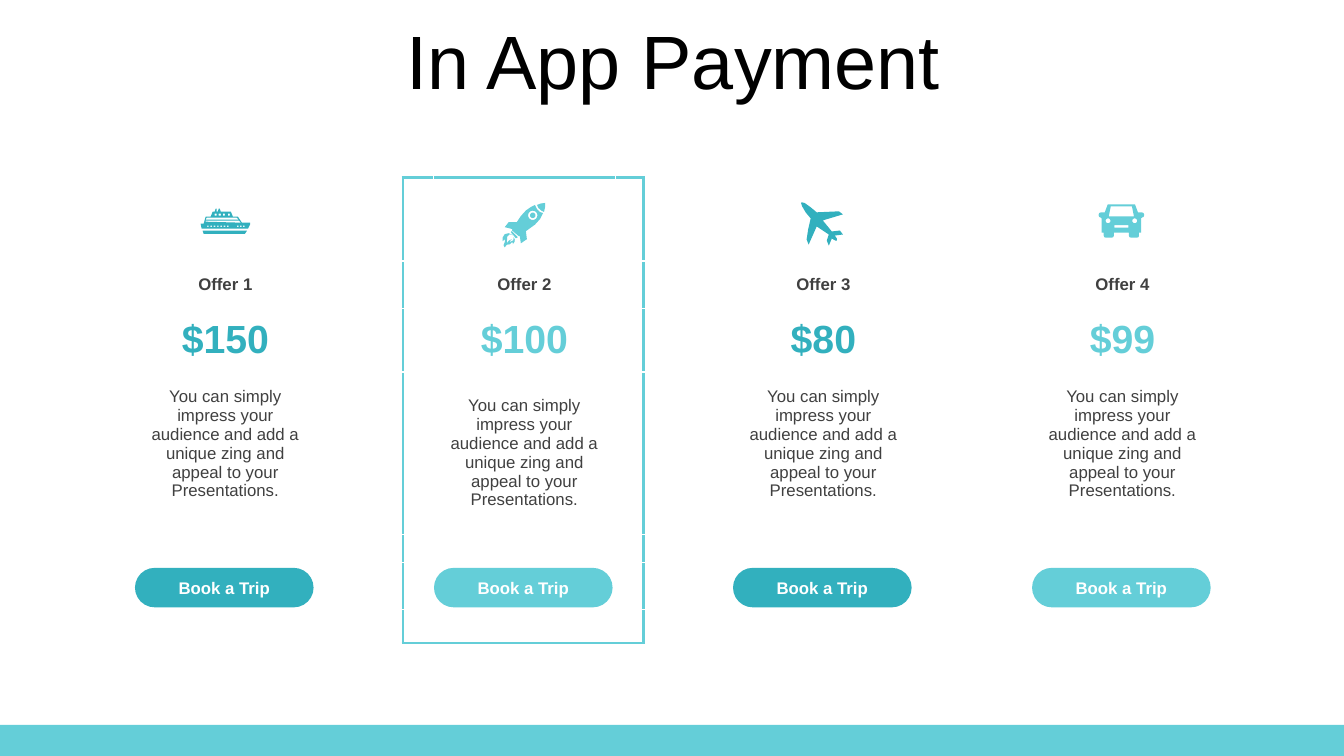
from math import cos, pi, sin

from lxml import etree
from pptx import Presentation
from pptx.dml.color import RGBColor
from pptx.enum.shapes import MSO_SHAPE
from pptx.enum.text import MSO_ANCHOR, MSO_AUTO_SIZE, PP_ALIGN
from pptx.oxml.ns import qn
from pptx.util import Pt

RECT, ROUND_RECT = MSO_SHAPE.RECTANGLE, MSO_SHAPE.ROUNDED_RECTANGLE
MIDDLE, CENTER, NO_FIT = MSO_ANCHOR.MIDDLE, PP_ALIGN.CENTER, MSO_AUTO_SIZE.NONE

AQUA = RGBColor(0x64, 0xCE, 0xD8)
TEAL = RGBColor(0x32, 0xB0, 0xBE)
GRAY = RGBColor(0x40, 0x40, 0x40)
WHITE = RGBColor(0xFF, 0xFF, 0xFF)
BLACK = RGBColor(0x00, 0x00, 0x00)

# Offer grid, in points
FIRST_LEFT, PITCH, TABLE_TOP = 74.2, 213.6, 126.7
COLUMNS = [21.6, 130.3, 20]
ROWS = [59.8, 33.8, 45.4, 115.9, 20.2, 33.8, 23.7]
ICON_UNIT = 0.72


# Icon outlines: lists of contours, in icon units
def box(x, y, w, h):
    return [(x, y), (x + w, y), (x + w, y + h), (x, y + h)]


def disc(x, y, radius, steps=24):
    angles = [2 * pi * i / steps for i in range(steps)]
    return [(x + radius * cos(a), y + radius * sin(a)) for a in angles]


def mirrored(points, width):
    return points + [(width - x, y) for x, y in reversed(points)]


SHIP = [
    [(18, 0), (19, 0), (20, 3), (30, 3), (32, 8), (37, 8), (41, 14), (49, 14),
     (49, 16), (47, 20), (1, 20), (0, 15), (3, 15), (5, 8), (10, 8), (12, 3),
     (14, 3), (15, 0), (16, 0), (16, 3), (17, 3)],
    [(2, 22), (46, 22), (44, 25), (3, 25)],
    [(5, 12), (5, 13), (40, 14), (38, 12)],
    [(6, 9), (5, 11), (38, 11), (36, 9)],
    *[box(x, 5, 2, 2) for x in (14, 18, 22, 27)],
    *[box(x, 17, 1.7, 1.2) for x in (6.4, 9.7, 13, 16.3, 19.6, 22.9, 26.2, 36, 39, 42)],
]
ROCKET = [
    [(11, 32), (8, 31), (5.5, 33.5), (5, 40), (7, 37.5), (10, 36), (8.5, 37.5),
     (8, 39), (10, 37.8), (11.5, 37), (12, 34), (13, 36.5), (12.7, 38.5),
     (11, 41), (11, 39.5), (10, 39), (8, 41), (5, 41.5), (3, 44), (1.8, 42),
     (3.2, 38.5), (3, 36), (1, 38), (0.8, 34.5), (3, 31), (7, 30)],
    [(10, 28), (16, 34), (14, 35), (9, 29)],
    [(33, 2), (35, 6), (38, 9), (41, 10), (38, 16), (33, 21.5), (24, 28),
     (25, 36), (19, 40), (18, 33), (17, 33), (10, 27), (11, 26), (3, 24),
     (7, 19), (15, 19), (19, 13), (24, 7.5), (29, 4)],
    disc(30.8, 12.3, 4.6),
    disc(30.8, 12.3, 2.7),
    [(43, 0), (43, 4), (42, 9), (39, 7.5), (36.5, 5), (35, 2), (39, 0.5)],
]
PLANE = [
    [(42, 32), (34, 33), (36, 36), (36, 38), (34.5, 38), (31, 36), (28, 43),
     (26, 38), (28, 32), (16, 24), (8, 42), (6, 37), (7.5, 27), (10, 16),
     (5, 10), (1.5, 4), (0.5, 1), (1, 0), (4, 0.7), (10, 5), (16, 10),
     (38, 9), (42, 12), (22, 18), (31, 29), (39, 28)],
]
CAR = [
    mirrored([(9, 0), (6, 8), (2, 8), (0.5, 8.6), (0, 10), (0, 11), (0.5, 12.5),
              (2, 13), (3, 14), (3, 28), (5, 28), (5, 31), (5.5, 32.5), (7, 33),
              (13, 33), (14.5, 32.5), (15, 31), (15, 28)], 45),
    mirrored([(12, 2), (10, 12)], 45),
    disc(9.3, 16.3, 2.4),
    disc(35.7, 16.3, 2.4),
    box(15.5, 20.5, 14, 2.5),
]

# Name, price, colour, icon outline, icon left and top
OFFERS = [
    ("Offer 1", "$150", TEAL, SHIP, 143.3, 149),
    ("Offer 2", "$100", AQUA, ROCKET, 358.4, 145),
    ("Offer 3", "$80", TEAL, PLANE, 571.9, 144.5),
    ("Offer 4", "$99", AQUA, CAR, 784.8, 146),
]
DESCRIPTION = ("You can simply impress your audience and add a unique zing "
               "and appeal to your Presentations.")
FRAMED = 1


class Deck:
    """Arial styling and the elements of the current slide."""

    font = "Arial"

    def __init__(self, slide):
        self.slide = slide

    def text(self, tf, text, size, color, bold=False):
        tf.text = text
        tf.word_wrap = True
        p = tf.paragraphs[0]
        p.alignment = CENTER
        for r in p.runs:
            r.font.name, r.font.size, r.font.bold = self.font, Pt(size), bold
            r.font.color.rgb = color
        return p

    def paint(self, sp, color):
        sp.shadow.inherit = False
        sp.fill.solid()
        sp.fill.fore_color.rgb = color
        sp.line.fill.background()

    def title(self, text, left, top, width, height):
        sp = self.slide.shapes.title
        sp.left, sp.top, sp.width, sp.height = Pt(left), Pt(top), Pt(width), Pt(height)
        tf = sp.text_frame
        p = self.text(tf, text, 54, BLACK)
        p.line_spacing, p.space_before = 0.9, Pt(10)
        tf.vertical_anchor, tf.auto_size = MIDDLE, NO_FIT

    def shape(self, kind, left, top, width, height, color):
        sp = self.slide.shapes.add_shape(kind, Pt(left), Pt(top), Pt(width), Pt(height))
        self.paint(sp, color)
        return sp

    def button(self, text, left, top, color):
        sp = self.shape(ROUND_RECT, left, top, 127.6, 28.2, color)
        sp.adjustments[0] = 0.5
        self.text(sp.text_frame, text, 12, WHITE, True)
        sp.text_frame.vertical_anchor = MIDDLE

    def icon(self, contours, left, top, color):
        scaled = [[(Pt(x * ICON_UNIT), Pt(y * ICON_UNIT)) for x, y in c] for c in contours]
        builder = self.slide.shapes.build_freeform(*scaled[0][0])
        builder.add_line_segments(scaled[0][1:], close=True)
        for contour in scaled[1:]:
            builder.move_to(*contour[0])
            builder.add_line_segments(contour[1:], close=True)
        self.paint(builder.convert_to_shape(Pt(left), Pt(top)), color)

    def table(self, left, top):
        frame = self.slide.shapes.add_table(len(ROWS), len(COLUMNS), Pt(left), Pt(top),
                                            Pt(sum(COLUMNS)), Pt(sum(ROWS)))
        table = frame.table
        table.first_row = table.horz_banding = False
        for column, width in zip(table.columns, COLUMNS):
            column.width = Pt(width)
        for row, height in zip(table.rows, ROWS):
            row.height = Pt(height)
        for cell in table.iter_cells():
            cell.fill.background()
            cell.vertical_anchor = MIDDLE
            # Small empty lines keep the spacer rows at their height
            cell.text_frame.paragraphs[0]._p.get_or_add_endParaRPr().set("sz", "800")
        return table

    def frame(self, table, color, width):
        last_row, last_col = len(ROWS) - 1, len(COLUMNS) - 1
        for i in range(len(ROWS)):
            for j in range(len(COLUMNS)):
                edges = [("a:lnL", j == 0), ("a:lnR", j == last_col),
                         ("a:lnT", i == 0), ("a:lnB", i == last_row)]
                tags = [tag for tag, outer in edges if outer]
                tcPr = table.cell(i, j)._tc.get_or_add_tcPr()
                for position, tag in enumerate(tags):
                    ln = etree.Element(qn(tag), w=str(Pt(width)))
                    fill = etree.SubElement(ln, qn("a:solidFill"))
                    etree.SubElement(fill, qn("a:srgbClr"), val=str(color))
                    tcPr.insert(position, ln)


def main():
    prs = Presentation()
    prs.slide_width, prs.slide_height = Pt(960), Pt(540)
    deck = Deck(prs.slides.add_slide(prs.slide_layouts[5]))

    # Title and footer band
    deck.shape(RECT, 0, 517.7, 960, 22.3, AQUA)
    deck.title("In App Payment", 25.2, 18, 911.5, 56.9)

    # Offers
    for i, (name, price, color, icon, icon_left, icon_top) in enumerate(OFFERS):
        left = FIRST_LEFT + i * PITCH
        table = deck.table(left, TABLE_TOP)
        deck.text(table.cell(1, 1).text_frame, name, 12, GRAY, True)
        deck.text(table.cell(2, 1).text_frame, price, 28, color, True)
        deck.text(table.cell(3, 1).text_frame, DESCRIPTION, 12, GRAY)
        if i == FRAMED:
            deck.frame(table, AQUA, 2.25)
        else:
            table.cell(3, 1).margin_bottom = Pt(16.6)
        deck.button("Book a Trip", left + 22.2, 405.6, color)
        deck.icon(icon, icon_left, icon_top, color)

    prs.save("out.pptx")


if __name__ == "__main__":
    main()
